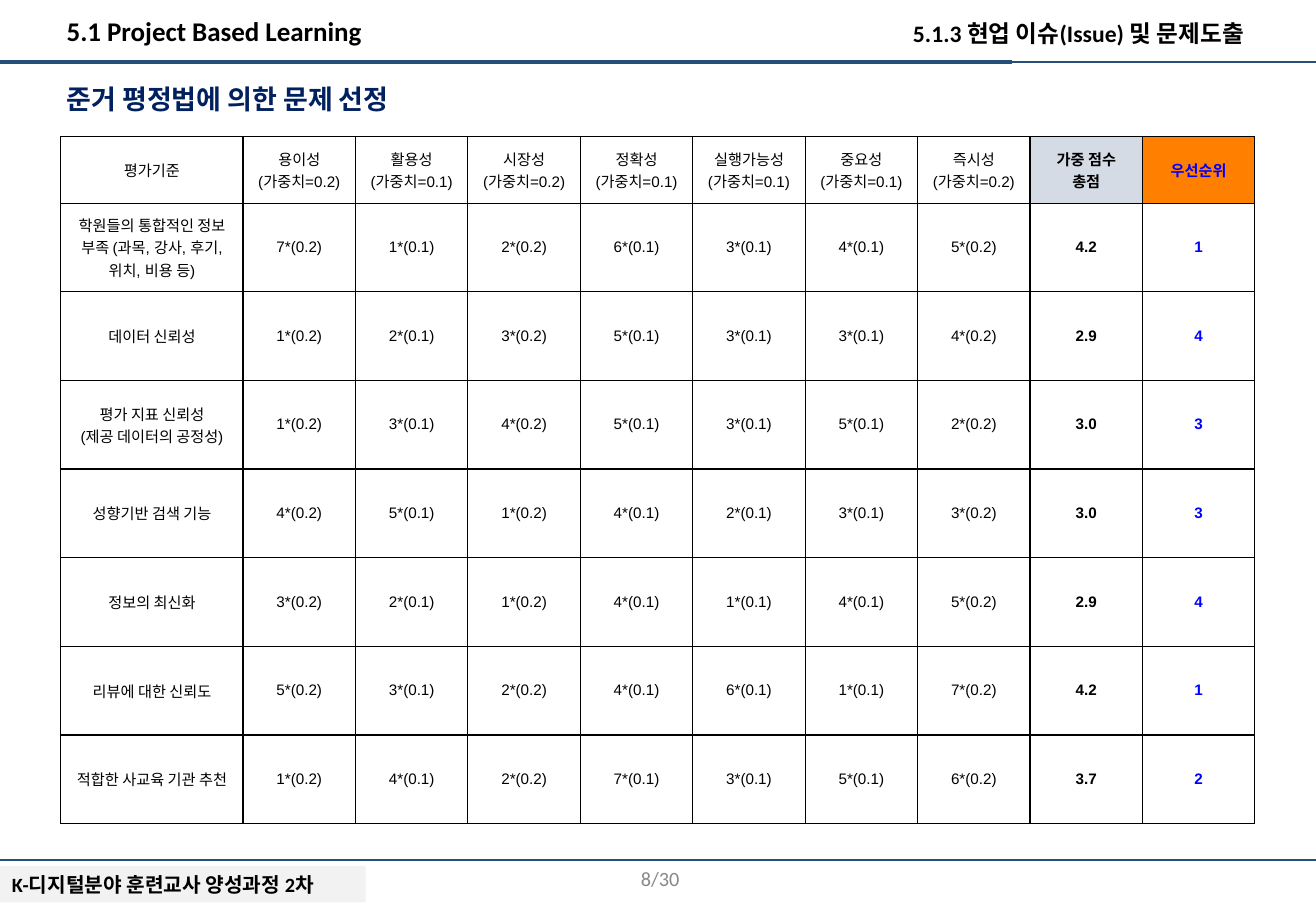
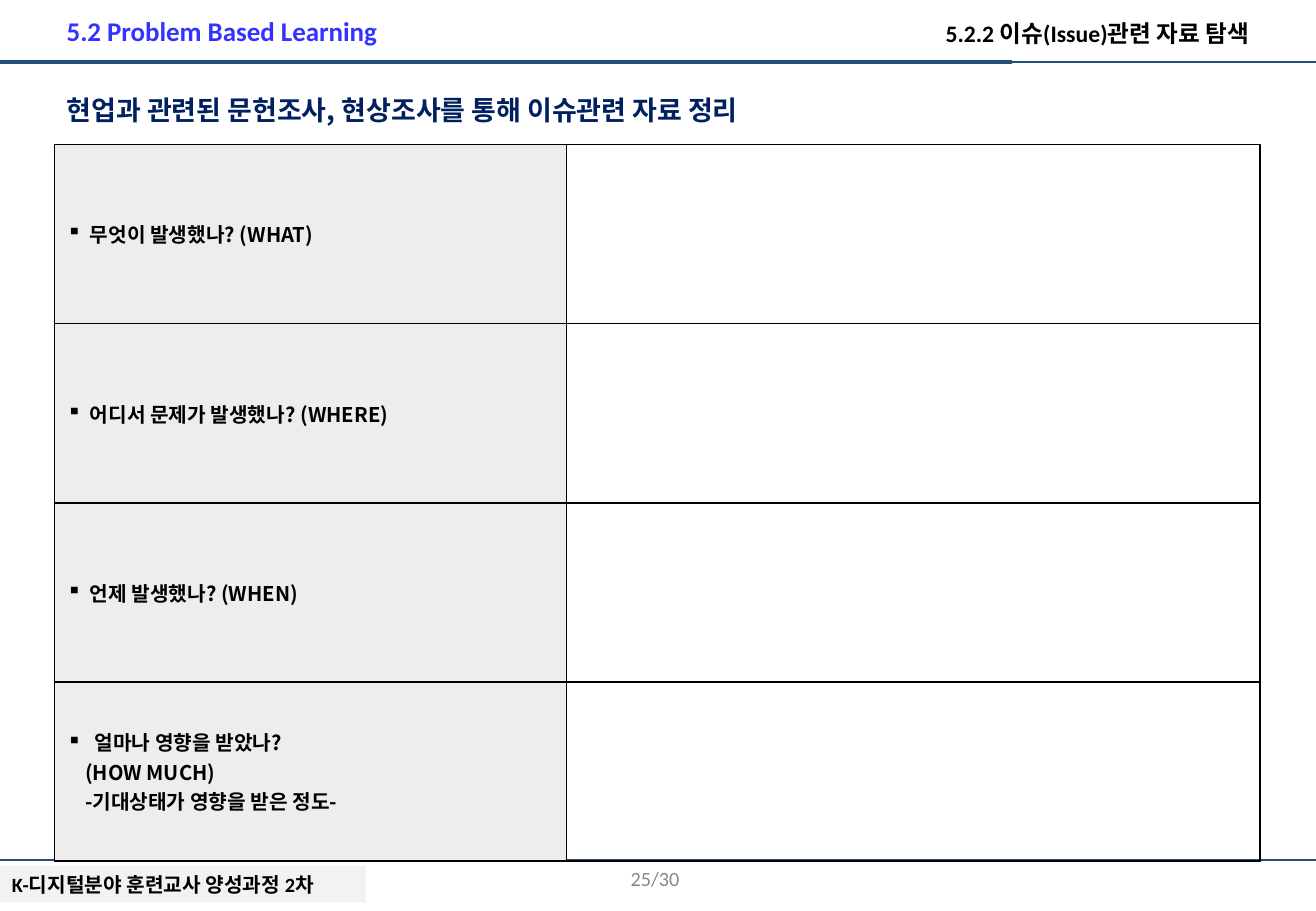
from lxml import etree
from pptx import Presentation
from pptx import util as u
from pptx.dml import color
from pptx.enum import shapes, text
from pptx.oxml import ns

Inches = u.Inches
NAVY, BLUE, BLACK = "002060", "244F7A", "000000"
SANS, KOR = "Calibri", "Noto Sans CJK KR"


def rgb(code):
    return color.RGBColor.from_string(code)


def style(frame, size, font, ink, bold=False, align=text.PP_ALIGN.LEFT):
    frame.word_wrap = True
    for para in frame.paragraphs:
        para.alignment = align
        for run in para.runs:
            run.font.size = u.Pt(size)
            run.font.name = font
            run.font.bold = bold
            run.font.color.rgb = rgb(ink)
            east = etree.SubElement(run.font._element, ns.qn("a:ea"))
            east.set("typeface", KOR)


prs = Presentation()
prs.slide_width, prs.slide_height = Inches(10.83), Inches(7.5)
plan = prs.slide_layouts[5]
for item in list(plan.placeholders):
    if item.placeholder_format.type != shapes.PP_PLACEHOLDER.TITLE:
        item.element.getparent().remove(item.element)

heads = [
    ("5.1 Project Based Learning", BLACK, "5.1.3 현업 이슈(Issue) 및 문제도출 ",
     "준거 평정법에 의한 문제 선정", 0.63, "8/30"),
    ("5.2 Problem Based Learning", "3333FF", "5.2.2 이슈(Issue)관련 자료 탐색",
     "현업과 관련된 문헌조사, 현상조사를 통해 이슈관련 자료 정리", 0.72, "25/30"),
]
LEFT, RIGHT, MID = text.PP_ALIGN.LEFT, text.PP_ALIGN.RIGHT, text.PP_ALIGN.CENTER
slides = []
for part, ink, topic, head, top, page in heads:
    slide = prs.slides.add_slide(plan)
    slides.append(slide)
    title = slide.shapes.title
    title.left, title.top = Inches(0.45), Inches(top)
    title.width, title.height = Inches(6.63), Inches(0.37)
    frame = title.text_frame
    frame.text = head
    frame.auto_size = text.MSO_AUTO_SIZE.NONE
    frame.vertical_anchor = text.MSO_ANCHOR.TOP
    style(frame, 16, KOR, NAVY, True)
    for words, x, y, w, h, size, tint, bold, align in [
        (part, 0.45, 0.07, 3.29, 0.37, 16, ink, True, LEFT),
        (topic, 7.01, 0.11, 3.37, 0.34, 14, BLACK, True, RIGHT),
        (page, 3.25, 7.03, 2.44, 0.4, 12, "888888", False, RIGHT),
    ]:
        box = slide.shapes.add_textbox(Inches(x), Inches(y), Inches(w), Inches(h))
        box.text_frame.text = words
        style(box.text_frame, size, SANS, tint, bold, align)
        if words == page:
            box.text_frame.vertical_anchor = text.MSO_ANCHOR.MIDDLE

first = slides[0].shapes
band = first.add_shape(shapes.MSO_SHAPE.RECTANGLE, 0, Inches(7.13), Inches(3.01), Inches(0.3))
band.shadow.inherit = False
band.fill.solid()
band.fill.fore_color.rgb = rgb("F2F2F2")
band.line.fill.background()
band.text_frame.text = "K-디지털분야 훈련교사 양성과정 2차"
style(band.text_frame, 12, SANS, BLACK, True)
plan.shapes.element.append(band.element)
for y, end, width in [(0.51, 10.83, 0.75), (0.51, 8.33, 2.5), (7.08, 10.83, 0.75)]:
    rule = first.add_connector(shapes.MSO_CONNECTOR.STRAIGHT, 0, Inches(y), Inches(end), Inches(y))
    rule.line.color.rgb = rgb(BLUE)
    rule.line.width = u.Pt(width)
    etree.SubElement(rule.element.spPr, ns.qn("a:effectLst"))
    plan.shapes.element.append(rule.element)

marks = [("용이성", 0.2), ("활용성", 0.1), ("시장성", 0.2), ("정확성", 0.1),
         ("실행가능성", 0.1), ("중요성", 0.1), ("즉시성", 0.2)]
issues = [
    ("학원들의 통합적인 정보 부족 (과목, 강사, 후기, 위치, 비용 등)", [7, 1, 2, 6, 3, 4, 5], "4.2", "1"),
    ("데이터 신뢰성", [1, 2, 3, 5, 3, 3, 4], "2.9", "4"),
    ("평가 지표 신뢰성\n(제공 데이터의 공정성)", [1, 3, 4, 5, 3, 5, 2], "3.0", "3"),
    ("성향기반 검색 기능", [4, 5, 1, 4, 2, 3, 3], "3.0", "3"),
    ("정보의 최신화", [3, 2, 1, 4, 1, 4, 5], "2.9", "4"),
    ("리뷰에 대한 신뢰도", [5, 3, 2, 4, 6, 1, 7], "4.2", "1"),
    ("적합한 사교육 기관 추천", [1, 4, 2, 7, 3, 5, 6], "3.7", "2"),
]
scores = [["평가기준"] + [f"{name}\n(가중치={weight})" for name, weight in marks]
          + ["가중 점수 총점", "우선순위"]]
for name, points, total, rank in issues:
    scores.append([name] + [f"{n}*({weight})" for n, (_, weight) in zip(points, marks)]
                  + [total, rank])
asks = [
    ["무엇이 발생했나? (WHAT)", ""],
    ["어디서 문제가 발생했나? (WHERE)", ""],
    ["언제 발생했나? (WHEN)", ""],
    ["얼마나 영향을 받았나?\n(HOW MUCH)\n-기대상태가 영향을 받은 정도-", ""],
]

grids = []
for slide, data, x, y, cols, rows, width in [
    (slides[0], scores, 0.5, 1.12, [1.5] + [8.33 / 9] * 9, [0.55] + [0.73] * 7, 0.75),
    (slides[1], asks, 0.45, 1.19, [4.21, 5.71], [5.9 / 4] * 4, 1),
]:
    grid = slide.shapes.add_table(len(rows), len(cols), Inches(x), Inches(y),
                                  Inches(sum(cols)), Inches(sum(rows))).table
    grids.append(grid)
    grid.first_row = grid.horz_banding = False
    for col, size in zip(grid.columns, cols):
        col.width = Inches(size)
    for row, size, line in zip(grid.rows, rows, data):
        row.height = Inches(size)
        for cell, words in zip(row.cells, line):
            cell.text_frame.text = words
            cell.vertical_anchor = text.MSO_ANCHOR.MIDDLE
            cell.fill.background()
            props = cell._tc.get_or_add_tcPr()
            for i, side in enumerate(["lnL", "lnR", "lnT", "lnB"]):
                edge = etree.Element(ns.qn("a:" + side), w=str(u.Pt(width)))
                fill = etree.SubElement(edge, ns.qn("a:solidFill"))
                etree.SubElement(fill, ns.qn("a:srgbClr"), val=BLACK)
                props.insert(i, edge)

for r, row in enumerate(grids[0].rows):
    for c, cell in enumerate(row.cells):
        style(cell.text_frame, 9, "Arial", "0000FF" if c == 9 else BLACK, c > 7, MID)
        if c > 7:
            cell.fill.solid()
            cell.fill.fore_color.rgb = rgb("FFFFFF" if r else ["D5DBE5", "FF7F00"][c - 8])

for row in grids[1].rows:
    cell = row.cells[0]
    cell.fill.solid()
    cell.fill.fore_color.rgb = rgb("EDEDED")
    style(cell.text_frame, 12, KOR, BLACK, True)
    lines = cell.text_frame.paragraphs
    for i, para in enumerate(lines):
        props = para._p.get_or_add_pPr()
        if i:
            props.set("marL", str(Inches(0.15)))
        else:
            inset = Inches(0.23 if len(lines) > 1 else 0.19)
            props.set("marL", str(inset))
            props.set("indent", str(-inset))
            etree.SubElement(props, ns.qn("a:buChar"), char="▪")

prs.save("out.pptx")
